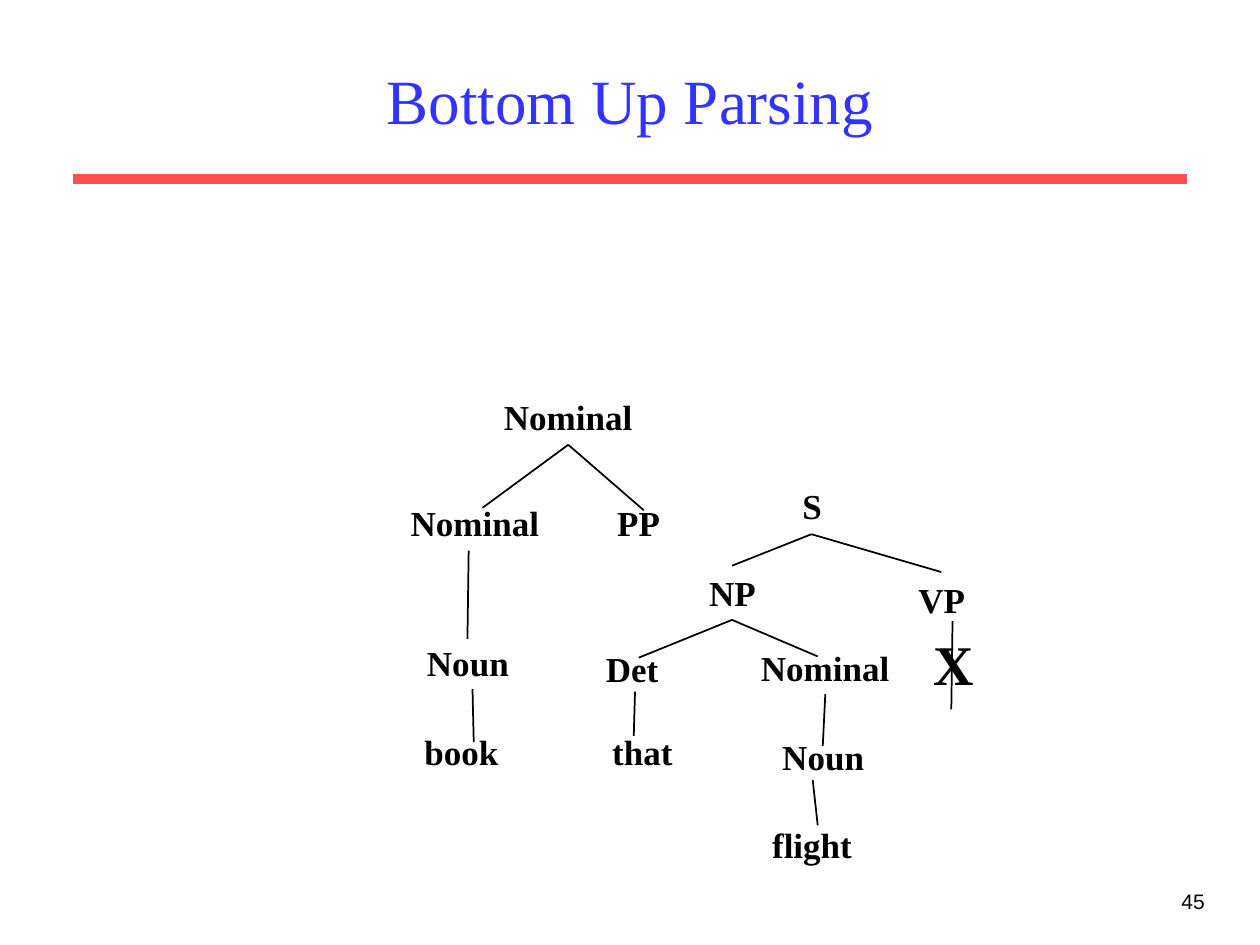
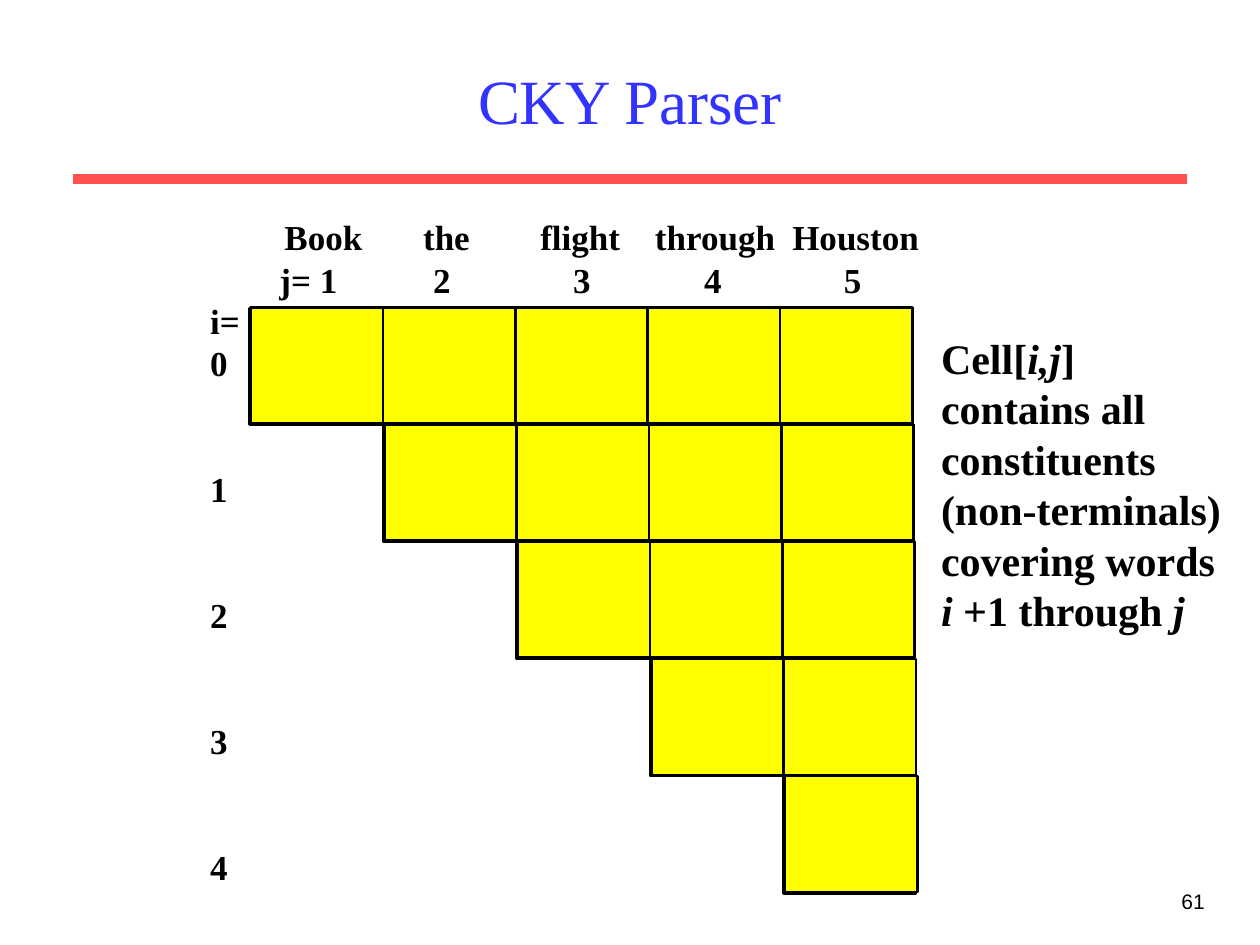
from dataclasses import dataclass
from lxml.etree import SubElement as Sub
from pptx import Presentation
from pptx.dml.color import RGBColor as Rgb
from pptx.enum.shapes import MSO_CONNECTOR as Conn, MSO_SHAPE as Shape
from pptx.enum.text import MSO_ANCHOR as Anchor, PP_ALIGN as Align
from pptx.oxml.ns import qn
from pptx.util import Inches, Pt


@dataclass(frozen=True)
class Theme:
    ink: Rgb = Rgb(0, 0, 0)
    title: Rgb = Rgb(0x33, 0x33, 0xFF)
    rule: Rgb = Rgb(0xFF, 0x50, 0x50)
    back: Rgb = Rgb(0xFF, 0xFF, 0xFF)
    cell: Rgb = Rgb(0xFF, 0xFF, 0)
    serif: str = "Times New Roman"
    sans: str = "Arial"
    head: int = 36
    mark: int = 32
    note: int = 24
    body: int = 20
    foot: int = 12
    lead: float = 1.2


T = Theme()


def style(par, size=T.body, color=T.ink, face=T.serif, bold=True, align=Align.LEFT):
    par.alignment = align
    par.line_spacing = Pt(size * T.lead)
    font = par.font
    font.size, font.name, font.bold = Pt(size), face, bold
    font.color.rgb = color


def frame(slide, x, y, w, h, inset=0):
    """Text frame; inset is the right margin, none for snug labels."""
    box = slide.shapes.add_textbox(Inches(x), Inches(y), Inches(w), Inches(h))
    body = box.text_frame
    body.word_wrap = True
    body.margin_right = Inches(inset)
    return body


def label(slide, x, y, w, text, tabs=(), h=0.44, inset=0, **look):
    """One line of text; tabs are stops in inches from its left edge."""
    body = frame(slide, x, y, w, h, inset)
    par = body.paragraphs[0]
    par.text = text
    if tabs:
        stops = Sub(par._p.get_or_add_pPr(), qn("a:tabLst"))
        for stop in tabs:
            Sub(stops, qn("a:tab"), pos=str(Inches(stop)), algn="l")
    style(par, **look)
    return body


def line(slide, x1, y1, x2, y2, color=T.ink, width=1):
    link = slide.shapes.add_connector(
        Conn.STRAIGHT, Inches(x1), Inches(y1), Inches(x2), Inches(y2))
    link.line.color.rgb = color
    link.line.width = Pt(width)
    Sub(link._element.spPr, qn("a:effectLst"))


def base(deck, title, page):
    """Blank slide with title, red rule and page number."""
    slide = deck.slides.add_slide(deck.slide_layouts[6])
    line(slide, 0.58, 1.42, 9.42, 1.42, T.rule, 6)
    head = label(slide, 0.75, 0.25, 8.5, title, h=1.08, inset=0.1, size=T.head,
                 color=T.title, bold=False, align=Align.CENTER)
    head.vertical_anchor = Anchor.MIDDLE
    label(slide, 7.58, 7, 2.08, page, h=0.5, inset=0.1, size=T.foot,
          face=T.sans, bold=False, align=Align.RIGHT)
    return slide


def tree(slide, left, top, nodes, edges):
    """Parse tree: nodes are (x, y, width, text, tabs), edges (x1, y1, x2, y2)."""
    for x, y, w, text, *tabs in nodes:
        label(slide, left + x, top + y, w, text, tabs)
    for x1, y1, x2, y2 in edges:
        line(slide, left + x1, top + y1, left + x2, top + y2)


def chart(slide, left, top, size=5, wide=1.05, high=0.92):
    """Upper triangle of cells, each row nudged right, on a white layer."""
    for dx, dy, fill in ((0, 0.01, T.back), (0.01, 0, T.cell)):
        for row in range(size):
            for col in range(row, size):
                x = left + dx + col * wide + row * 0.01
                y = top + dy + row * (high + 0.01)
                cell = slide.shapes.add_shape(
                    Shape.RECTANGLE, Inches(x), Inches(y), Inches(wide), Inches(high))
                cell.shadow.inherit = False
                cell.fill.solid()
                cell.fill.fore_color.rgb = fill
                cell.line.color.rgb = T.ink
                cell.line.width = Pt(1.5)


def rows(slide, left, top):
    """Row indices, one inch apart."""
    body = frame(slide, left, top, 0.43, 4.77)
    for k, text in enumerate(["i=", *"01234"]):
        par = body.paragraphs[0] if k == 0 else body.add_paragraph()
        par.text = text
        style(par)
        if k > 1:
            par.space_before = Pt(2 * T.body * T.lead)


def note(slide, left, top):
    """Meaning of a cell; each run is (text, italic)."""
    lines = (
        [("Cell[", False), ("i,j", True), ("]", False)],
        [("contains all", False)],
        [("constituents", False)],
        [("(non-terminals)", False)],
        [("covering words", False)],
        [("i", True), (" +1 through ", False), ("j", True)],
    )
    body = frame(slide, left, top, 2.42, 2.5)
    for k, runs in enumerate(lines):
        par = body.paragraphs[0] if k == 0 else body.add_paragraph()
        style(par, size=T.note)
        for text, slant in runs:
            run = par.add_run()
            run.text = text
            run.font.italic = slant


def bottom(deck):
    slide = base(deck, "Bottom Up Parsing", "45")
    # Tree over "book", with the word "that" beside it
    tree(slide, 3.16, 3.09,
         [(0.74, 0, 1.22, "Nominal"),
          (0, 0.84, 2.18, "Nominal\tPP", 1.64),
          (0.13, 1.95, 0.92, "Noun"),
          (0.11, 2.66, 2.31, "book\tthat", 1.49)],
         [(1.35, 0.44, 0.67, 0.94), (1.35, 0.44, 1.95, 0.96),
          (0.56, 1.28, 0.55, 1.98), (0.59, 2.38, 0.6, 2.8)])
    # Tree over "that flight"
    left, top = 4.71, 3.8
    tree(slide, left, top,
         [(1.56, 0, 0.35, "S"),
          (0.82, 0.69, 0.57, "NP"), (2.48, 0.74, 0.57, "VP"),
          (0, 1.29, 0.61, "Det"), (1.23, 1.28, 1.22, "Nominal"),
          (1.4, 1.99, 0.85, "Noun"),
          (1.32, 2.69, 0.83, "flight")],
         [(1.73, 0.44, 1.1, 0.69), (1.73, 0.44, 2.76, 0.74),
          (1.1, 1.12, 0.36, 1.42), (1.1, 1.12, 1.78, 1.41),
          (0.33, 1.69, 0.32, 2.04), (1.84, 1.71, 1.82, 2.12),
          (1.74, 2.39, 1.78, 2.75), (2.85, 1.13, 2.84, 1.83)])
    # Failed branch
    label(slide, left + 2.6, top + 1.15, 0.52, "X", h=0.64, size=T.mark)


def cky(deck):
    slide = base(deck, "CKY Parser", "61")
    chart(slide, 1.98, 2.44)
    # Column heads
    label(slide, 2.16, 1.66, 5.3, "Book\tthe\tflight\tthrough\tHouston",
          (1.1, 2.03, 2.94, 4.03))
    label(slide, 2.12, 2, 4.9, "j= 1\t2\t3\t4\t5", (1.22, 2.33, 3.37, 4.48))
    rows(slide, 1.57, 2.33)
    note(slide, 7.37, 2.59)


def main():
    deck = Presentation()
    deck.slide_width, deck.slide_height = Inches(10), Inches(7.5)
    bottom(deck)
    cky(deck)
    deck.save("out.pptx")


if __name__ == "__main__":
    main()
